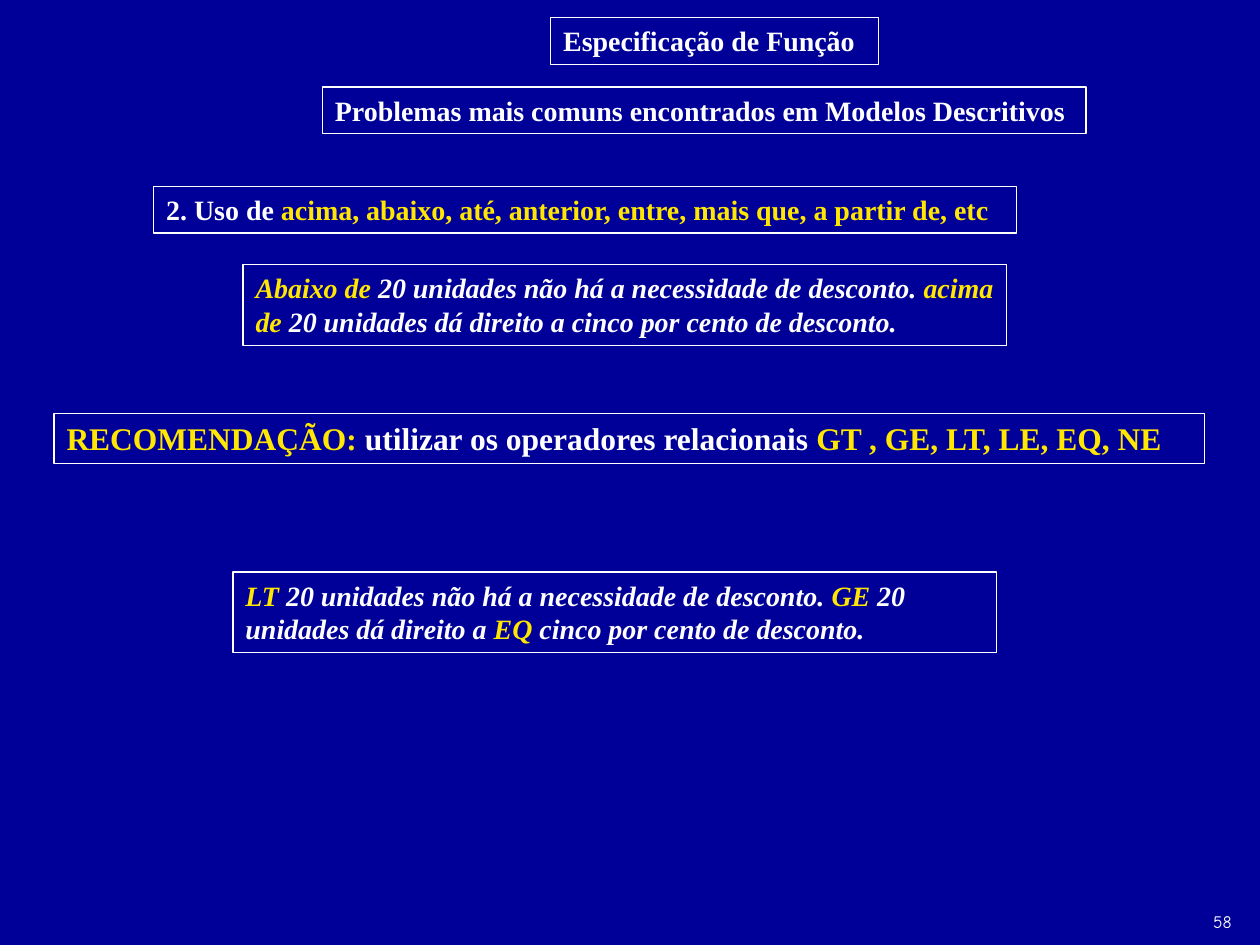
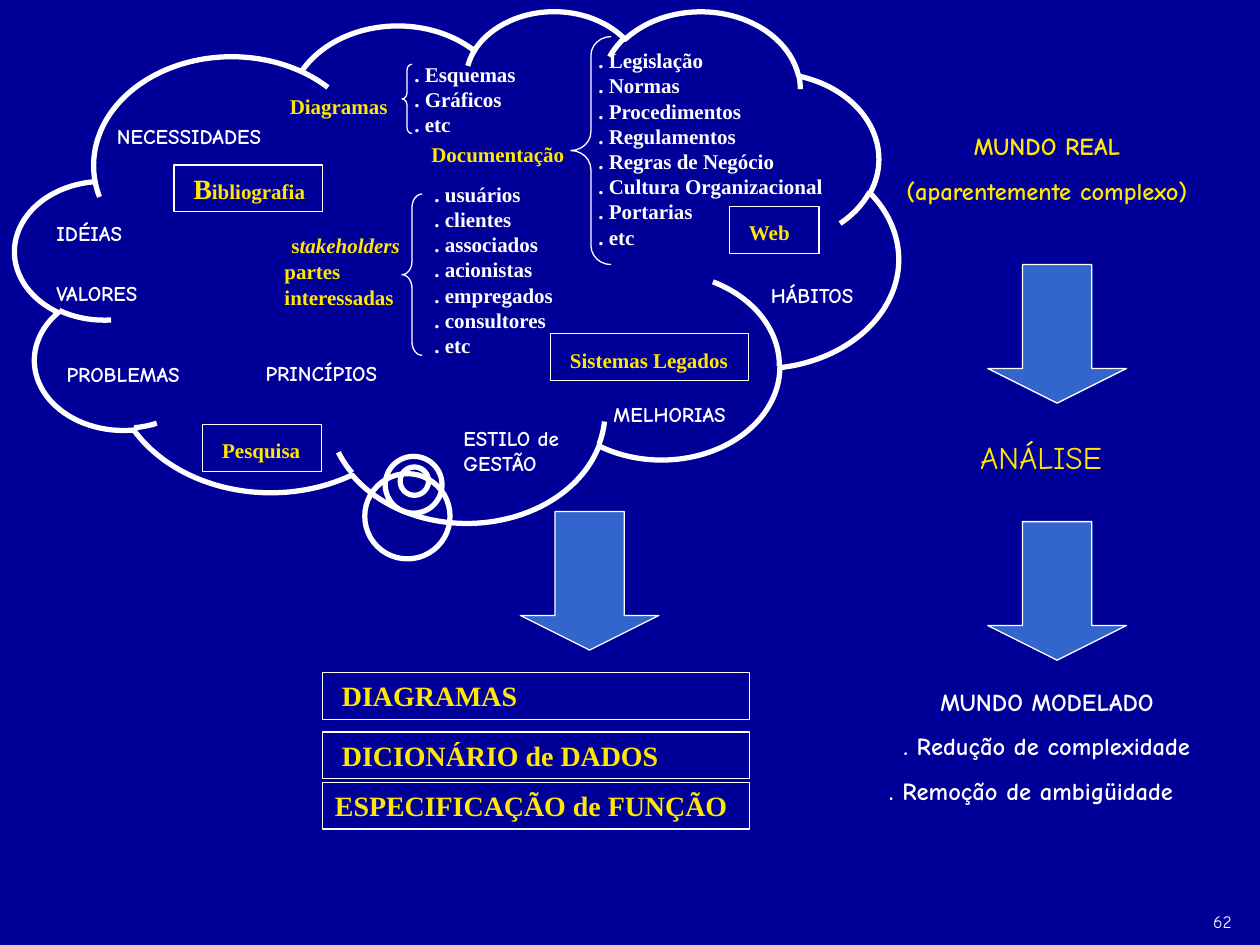
from dataclasses import dataclass, replace

from pptx import Presentation
from pptx.dml.color import RGBColor
from pptx.enum.shapes import MSO_SHAPE
from pptx.enum.text import MSO_ANCHOR, MSO_AUTO_SIZE, PP_ALIGN
from pptx.util import Inches, Pt

RECTANGLE = MSO_SHAPE.RECTANGLE
DOWN_ARROW = MSO_SHAPE.DOWN_ARROW
LEFT_BRACE = MSO_SHAPE.LEFT_BRACE
CLOUD = MSO_SHAPE.CLOUD_CALLOUT
LEFT, CENTER = PP_ALIGN.LEFT, PP_ALIGN.CENTER
TOP = MSO_ANCHOR.TOP
NO_AUTOSIZE = MSO_AUTO_SIZE.NONE

NAVY, BLUE, WHITE, YELLOW = "000099", "3366CC", "FFFFFF", "FFE701"
TITLE_ONLY, BLANK = 5, 6
ROW_HEIGHT = 0.37
ARROW_SIZE = 1.1


@dataclass(frozen=True)
class Style:
    """Character formatting of a run."""

    font: str = "Times New Roman"
    size: float = 16
    color: str = WHITE
    bold: bool = True
    italic: bool = False


HEADING = Style()
KEYWORD = Style(color=YELLOW)
EXAMPLE = Style(italic=True)
EXAMPLE_KEYWORD = Style(color=YELLOW, italic=True)
ADVICE = Style(size=18)
ADVICE_KEYWORD = Style(size=18, color=YELLOW)
ITEM = Style(size=12)
SOURCE = Style(size=12, color=YELLOW)
IDEA = Style(font="Comic Neue", size=12)
WORLD = Style(font="Comic Neue", size=14)
PAGE_NUMBER = Style(font="Comic Neue", size=10, bold=False)


def rgb(value):
    """Return the colour of a hex string."""
    return RGBColor.from_string(value)


def within(box, left, top, width, height):
    """Return a box whose place is counted from the corner of another box."""
    return box[0] + left, box[1] + top, width, height


def outline(shape, weight=0.75, fill=None):
    """Give a shape its white line and its fill."""
    shape.line.color.rgb = rgb(WHITE)
    shape.line.width = Pt(weight)
    if fill:
        shape.fill.solid()
        shape.fill.fore_color.rgb = rgb(fill)
    else:
        shape.fill.background()


def add_outline(slide, kind, box, weight=0.75, fill=None):
    """Add a preset shape with a white line."""
    shape = slide.shapes.add_shape(kind, *map(Inches, box))
    shape.shadow.inherit = False
    outline(shape, weight, fill)
    return shape


def write(shape, paragraphs, alignments=(LEFT,), spacing=0):
    """Write paragraphs, each a list of text and style pairs, into a shape."""
    frame = shape.text_frame
    frame.word_wrap = True
    frame.auto_size = NO_AUTOSIZE
    frame.vertical_anchor = TOP
    for index, runs in enumerate(paragraphs):
        paragraph = frame.add_paragraph() if index else frame.paragraphs[0]
        paragraph.alignment = alignments[min(index, len(alignments) - 1)]
        paragraph.space_before = Pt(spacing)
        for text, style in runs:
            run = paragraph.add_run()
            run.text = text
            font = run.font
            font.name, font.size = style.font, Pt(style.size)
            font.bold, font.italic = style.bold, style.italic
            font.color.rgb = rgb(style.color)


def add_text(slide, box, paragraphs, alignments=(LEFT,), spacing=0):
    """Add a text box without a line."""
    shape = slide.shapes.add_textbox(*map(Inches, box))
    write(shape, paragraphs, alignments, spacing)


def add_framed_text(slide, box, *runs):
    """Add one paragraph inside a white frame."""
    write(add_outline(slide, RECTANGLE, box), [runs])


def add_framed_title(slide, box, text):
    """Place the title placeholder in a white frame."""
    title = slide.shapes.title
    title.left, title.top, title.width, title.height = map(Inches, box)
    outline(title)
    write(title, [[(text, HEADING)]])


def add_page_number(slide, number):
    """Add the page number at the lower right corner."""
    add_text(slide, (9.53, 7.18, 0.47, 0.27), [[(number, PAGE_NUMBER)]])


def add_brace(slide, box):
    """Add a left brace whose curves take a twelfth of its height."""
    brace = add_outline(slide, LEFT_BRACE, box)
    brace.adjustments[0] = box[3] / 12 / box[2]


def add_arrow(slide, left, top):
    """Add a blue arrow pointing down."""
    arrow = add_outline(slide, DOWN_ARROW, (left, top, ARROW_SIZE, ARROW_SIZE), fill=BLUE)
    arrow.adjustments[0], arrow.adjustments[1] = 0.5, 0.25


def add_source_list(slide, box, items, brace):
    """Add a list of dotted items and the brace that opens it."""
    add_text(slide, box, [[(f". {item}", ITEM)] for item in items])
    add_brace(slide, brace)


def add_cloud(slide, box):
    """Add the cloud of the real world with its sources and ideas."""
    cloud = add_outline(slide, CLOUD, box, weight=3)
    cloud.adjustments[0], cloud.adjustments[1] = -0.048, 0.421

    lists = [
        ((4.53, 0.25, 2.09, 1.7), (4.41, 0.21, 0.32, 1.81),
         ["Legislação", "Normas", "Procedimentos", "Regulamentos",
          "Regras de Negócio", "Cultura Organizacional", "Portarias", "etc"]),
        ((3.07, 0.36, 1.1, 0.7), (3.07, 0.43, 0.08, 0.55),
         ["Esquemas", "Gráficos", "etc"]),
        ((3.23, 1.31, 1.26, 1.5), (3.07, 1.46, 0.16, 1.28),
         ["usuários", "clientes", "associados", "acionistas",
          "empregados", "consultores", "etc"]),
    ]
    for place, brace, items in lists:
        add_source_list(slide, within(box, *place), items, within(box, *brace))

    space = (" ", HEADING)
    add_text(slide, within(box, 3.15, 0.94, 1.34, ROW_HEIGHT),
             [[space, ("Documentação", SOURCE)]])
    add_text(slide, within(box, 2.04, 0.61, 1.1, 0.3),
             [[(" ", ITEM), ("Diagramas", SOURCE)]])
    add_text(slide, within(box, 2.04, 1.66, 1.26, 0.77),
             [[space, ("s", SOURCE), ("takeholders ", replace(SOURCE, italic=True)),
               ("partes interessadas", SOURCE)]])

    framed_sources = [
        (1.49, 3.29, 0.94, [("Pesquisa", SOURCE)]),
        (1.26, 1.23, 1.18, [("B", KEYWORD), ("ibliografia", SOURCE)]),
        (4.25, 2.57, 1.57, [("Sistemas Legados", SOURCE)]),
        (5.67, 1.56, 0.71, [("Web", SOURCE)]),
    ]
    for left, top, width, runs in framed_sources:
        add_framed_text(slide, within(box, left, top, width, ROW_HEIGHT), space, *runs)

    ideas = [
        ("MELHORIAS", 4.65, 3.06, 1.42, 0.3),
        ("IDÉIAS", 0.23, 1.62, 0.87, 0.3),
        ("PROBLEMAS", 0.31, 2.74, 1.26, 0.3),
        ("NECESSIDADES", 0.71, 0.85, 1.65, 0.3),
        ("PRINCÍPIOS", 1.89, 2.73, 1.26, 0.3),
        ("VALORES", 0.23, 2.1, 1.26, 0.3),
        ("HÁBITOS", 5.9, 2.11, 1.02, 0.3),
        ("ESTILO de GESTÃO", 3.46, 3.25, 1.26, 0.5),
    ]
    for text, *place in ideas:
        add_text(slide, within(box, *place), [[(text, IDEA)]])


def add_models(slide, box):
    """Add the arrow and the three framed products of the analysis."""
    add_arrow(slide, box[0] + 1.57, box[1])
    models = [
        (1.28, [(" ", HEADING), ("DIAGRAMAS", KEYWORD)]),
        (1.75, [(" ", HEADING), ("DICIONÁRIO de DADOS", KEYWORD)]),
        (2.15, [("ESPECIFICAÇÃO de FUNÇÃO", KEYWORD)]),
    ]
    for top, runs in models:
        add_framed_text(slide, within(box, 0, top, box[2], ROW_HEIGHT), *runs)


def add_worlds(slide, box):
    """Add the column that leads from the real to the modelled world."""
    real = replace(WORLD, color=YELLOW)
    add_text(slide, within(box, 0, 0, box[2], 0.69),
             [[("MUNDO REAL", real)], [("(aparentemente complexo)", real)]],
             (CENTER,), 8.8)
    add_text(slide, within(box, 0.79, 2.44, 1.42, 0.4),
             [[("ANÁLISE", replace(real, size=18, bold=False))]])
    add_text(slide, within(box, 0, 4.41, box[2], 1.05),
             [[("MUNDO MODELADO", WORLD)], [(". Redução de complexidade", WORLD)],
              [(" . Remoção de ambigüidade", WORLD)]],
             (CENTER, CENTER, LEFT), 8.8)
    for top in (1.11, 3.15):
        add_arrow(slide, box[0] + 0.95, box[1] + top)


def build_recommendation_slide(presentation):
    """Build the slide on relational operators in descriptive models."""
    slide = presentation.slides.add_slide(presentation.slide_layouts[TITLE_ONLY])
    add_framed_title(slide, (4.37, 0.14, 2.6, ROW_HEIGHT), "Especificação de Função")
    statements = [
        ((2.56, 0.69, 6.06, ROW_HEIGHT),
         [("Problemas mais comuns encontrados em Modelos Descritivos", HEADING)]),
        ((1.22, 1.48, 6.85, ROW_HEIGHT),
         [("2. Uso de ", HEADING),
          ("acima, abaixo, até, anterior, entre, mais que, a partir de, etc", KEYWORD)]),
        ((1.93, 2.1, 6.06, 0.64),
         [("Abaixo de", EXAMPLE_KEYWORD),
          (" 20 unidades não há a necessidade de desconto. ", EXAMPLE),
          ("acima de", EXAMPLE_KEYWORD),
          (" 20 unidades dá direito a cinco por cento de desconto.", EXAMPLE)]),
        ((0.43, 3.28, 9.13, 0.4),
         [("RECOMENDAÇÃO:", ADVICE_KEYWORD),
          (" utilizar os operadores relacionais ", ADVICE),
          ("GT , GE, LT, LE, EQ, NE", ADVICE_KEYWORD)]),
        ((1.85, 4.54, 6.06, 0.64),
         [("LT", EXAMPLE_KEYWORD),
          (" 20 unidades não há a necessidade de desconto. ", EXAMPLE),
          ("GE", EXAMPLE_KEYWORD),
          (" 20 unidades dá direito a ", EXAMPLE),
          ("EQ", EXAMPLE_KEYWORD),
          (" cinco por cento de desconto.", EXAMPLE)]),
    ]
    for box, runs in statements:
        add_framed_text(slide, box, *runs)
    add_page_number(slide, "58")


def build_analysis_slide(presentation):
    """Build the slide that goes from the real world to the models."""
    slide = presentation.slides.add_slide(presentation.slide_layouts[BLANK])
    add_worlds(slide, (6.89, 0.99, 2.84, 5.46))
    add_models(slide, (2.56, 4.06, 3.39, 2.52))
    add_cloud(slide, (0.12, 0.08, 7.01, 4.06))
    add_page_number(slide, "62")


def main():
    """Build and save the presentation."""
    presentation = Presentation()
    presentation.slide_width, presentation.slide_height = Inches(10), Inches(7.5)
    background = presentation.slide_master.background.fill
    background.solid()
    background.fore_color.rgb = rgb(NAVY)
    build_recommendation_slide(presentation)
    build_analysis_slide(presentation)
    presentation.save("out.pptx")


if __name__ == "__main__":
    main()
